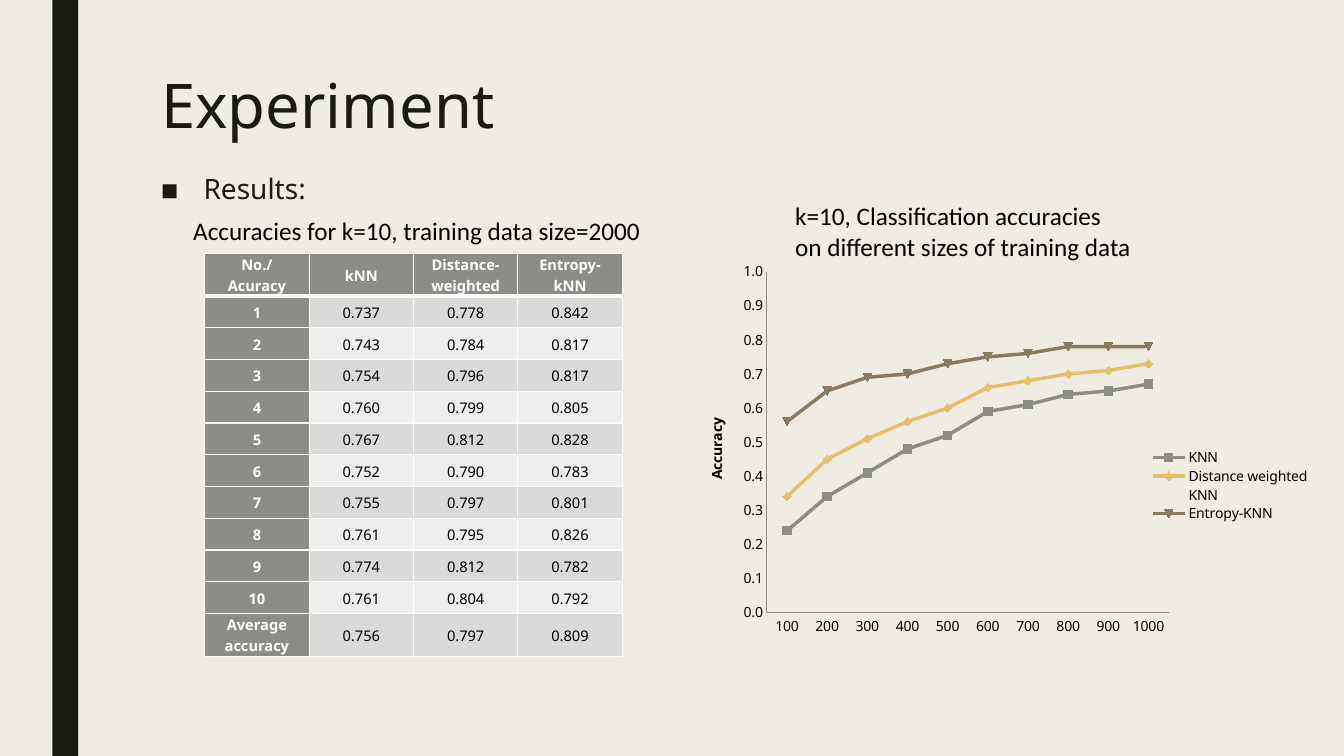
from dataclasses import dataclass
from lxml.etree import SubElement as Sub
from pptx import Presentation
from pptx.chart.data import CategoryChartData as Data
from pptx.dml.color import RGBColor as Rgb
from pptx.enum.chart import XL_CHART_TYPE as Kind, XL_LEGEND_POSITION as Side, XL_TICK_MARK as Tick
from pptx.enum.shapes import MSO_SHAPE as Form
from pptx.enum.text import MSO_ANCHOR as Anchor, PP_ALIGN as Align
from pptx.oxml.ns import qn
from pptx.util import Cm, Pt


@dataclass(frozen=True)
class Theme:
    back: str = "EFEDE3"
    dark: str = "191B0E"
    ink: str = "000000"
    white: str = "FFFFFF"
    head: str = "8C8D86"
    bands: tuple = ("DADBD9", "EEEEED")
    lines: tuple = ("8C8D86", "E6C069", "897B61")
    sans: str = "Noto Sans"
    note: str = "Calibri"
    title: float = 44
    body: float = 20
    label: float = 18
    cell: float = 10.5
    chart: float = 10


class Deck:
    """Holds the theme and the current slide, and draws each kind of element."""

    def __init__(self, theme):
        self.theme = theme
        self.show = Presentation()
        self.show.slide_width, self.show.slide_height = Cm(33.87), Cm(19.05)
        self.slide = self.show.slides.add_slide(self.show.slide_layouts[6])
        self.paint(self.slide.background.fill, theme.back)

    def paint(self, fill, color):
        fill.solid()
        fill.fore_color.rgb = Rgb.from_string(color)

    def style(self, font, size, color, face, bold=False):
        font.size, font.name, font.bold = Pt(size), face, bold
        font.color.rgb = Rgb.from_string(color)

    def bar(self, *box):
        shape = self.slide.shapes.add_shape(Form.RECTANGLE, *map(Cm, box))
        shape.shadow.inherit = False
        self.paint(shape.fill, self.theme.dark)
        shape.line.fill.background()

    def text(self, box, words, size, color, face, wrap=True, space=1.0):
        frame = self.slide.shapes.add_textbox(*map(Cm, box)).text_frame
        frame.text, frame.word_wrap = words, wrap
        for para in frame.paragraphs:
            para.line_spacing = space
            self.style(para.runs[0].font, size, color, face)
        return frame.paragraphs[0]

    def bullet(self, para, mark, indent):
        para.space_before, para.space_after = Pt(10), Pt(2)
        props = para._p.get_or_add_pPr()
        props.set("marL", str(Cm(indent)))
        props.set("indent", str(-Cm(indent)))
        Sub(props, qn("a:buSzPct"), val="65000")
        Sub(props, qn("a:buFont"), typeface=self.theme.sans)
        Sub(props, qn("a:buChar"), char=mark)

    def border(self, cell, first):
        props = cell._tc.get_or_add_tcPr()
        for side in "LRTB":
            width = 3 if first and side == "B" else 1
            line = Sub(props, qn("a:ln" + side), w=str(Pt(width)))
            fill = Sub(line, qn("a:solidFill"))
            Sub(fill, qn("a:srgbClr"), val=self.theme.white)

    def cell(self, cell, words, row, col):
        look = self.theme
        head = row == 0 or col == 0
        cell.text = words
        cell.vertical_anchor = Anchor.MIDDLE
        cell.margin_left = cell.margin_right = Cm(0.22)
        cell.margin_top = cell.margin_bottom = 0
        para = cell.text_frame.paragraphs[0]
        para.alignment, para.line_spacing = Align.CENTER, 1.07
        self.style(para.runs[0].font, look.cell, look.white if head else look.ink, look.sans, head)
        self.border(cell, row == 0)
        self.paint(cell.fill, look.head if head else look.bands[(row - 1) % 2])

    def table(self, left, top, wide, high, tall, rows):
        count = len(rows[0])
        highs = [tall, *[high] * (len(rows) - 2), tall]
        grid = self.slide.shapes.add_table(
            len(rows), count, Cm(left), Cm(top), Cm(wide * count), Cm(sum(highs))).table
        for r, row in enumerate(rows):
            grid.rows[r].height = Cm(highs[r])
            for c, words in enumerate(row):
                self.cell(grid.cell(r, c), words, r, c)

    def place(self, part, box, inner=False):
        old = part.find(qn("c:layout"))
        if old is not None:
            part.remove(old)
        layout = part.makeelement(qn("c:layout"), {})
        part.insert(0 if inner else 1, layout)
        manual = Sub(layout, qn("c:manualLayout"))
        if inner:
            Sub(manual, qn("c:layoutTarget"), val="inner")
        for key in ("xMode", "yMode"):
            Sub(manual, qn("c:" + key), val="edge")
        for key, value in zip("xywh", box):
            Sub(manual, qn("c:" + key), val=str(value))

    def chart(self, box, cats, sets, label):
        look = self.theme
        data = Data(number_format="0.00")
        data.categories = cats
        for name, vals in sets.items():
            data.add_series(name, vals)
        chart = self.slide.shapes.add_chart(Kind.LINE_MARKERS, *map(Cm, box), data).chart
        self.style(chart.font, look.chart, look.ink, look.sans)
        chart.has_title = False
        chart.has_legend = True
        chart.legend.position = Side.RIGHT
        chart.legend.include_in_layout = False
        plot = chart.plots[0]
        plot.vary_by_categories = False
        for line, color in zip(plot.series, look.lines):
            line.smooth = False
            line.format.line.width = Pt(2.5)
            line.format.line.color.rgb = Rgb.from_string(color)
            line.marker.size = 6
            self.paint(line.marker.format.fill, color)
            line.marker.format.line.fill.background()
        for axis in (chart.category_axis, chart.value_axis):
            axis.has_major_gridlines = False
            axis.major_tick_mark = axis.minor_tick_mark = Tick.NONE
            axis.format.line.color.rgb = Rgb.from_string(look.head)
        axis.minimum_scale, axis.maximum_scale, axis.major_unit = 0, 1, 0.1
        axis.tick_labels.number_format = "0.0"
        axis.tick_labels.number_format_is_linked = False
        frame = axis.axis_title.text_frame
        frame.text = label
        self.style(frame.paragraphs[0].runs[0].font, look.chart, look.ink, look.sans, True)
        area = chart._chartSpace.chart.plotArea
        self.place(area, (0.11, 0.04, 0.62, 0.87), True)
        self.place(chart.legend._element, (0.69, 0.49, 0.27, 0.19))


look = Theme()
deck = Deck(look)
deck.bar(1.32, 0, 0.65, 19.05)
deck.text((3.81, 1.78, 26.67, 2.4), "Experiment", look.title, look.dark, look.sans, space=0.89)
item = deck.text((3.81, 4.27, 26.67, 1.2), "Results:", look.body, look.dark, look.sans, space=0.94)
deck.bullet(item, "■", 1.07)

knn = "0.737 0.743 0.754 0.760 0.767 0.752 0.755 0.761 0.774 0.761 0.756".split()
dist = "0.778 0.784 0.796 0.799 0.812 0.790 0.797 0.795 0.812 0.804 0.797".split()
ent = "0.842 0.817 0.817 0.805 0.828 0.783 0.801 0.826 0.782 0.792 0.809".split()
names = [str(n) for n in range(1, 11)] + ["Average accuracy"]
heads = ("No./Acuracy", "kNN", "Distance-weighted", "Entropy-kNN")
deck.table(5.16, 6.38, 2.63, 0.8, 1.08, [heads, *zip(names, knn, dist, ent)])

scores = {
    "KNN": (0.24, 0.34, 0.41, 0.48, 0.52, 0.59, 0.61, 0.64, 0.65, 0.67),
    "Distance weighted KNN": (0.34, 0.45, 0.51, 0.56, 0.6, 0.66, 0.68, 0.7, 0.71, 0.73),
    "Entropy-KNN": (0.56, 0.65, 0.69, 0.7, 0.73, 0.75, 0.76, 0.78, 0.78, 0.78),
}
sizes = [str(n) for n in range(100, 1001, 100)]
deck.chart((17.53, 6.45, 16.33, 9.88), sizes, scores, "Accuracy")

for box, words in (
    ((4.62, 5.31, 11.91, 1.02), "Accuracies for k=10, training data size=2000"),
    ((19.79, 4.93, 9.07, 1.8),
     "k=10, Classification accuracies\non different sizes of training data"),
):
    deck.text(box, words, look.label, look.ink, look.note, wrap=False)
deck.show.save("out.pptx")
